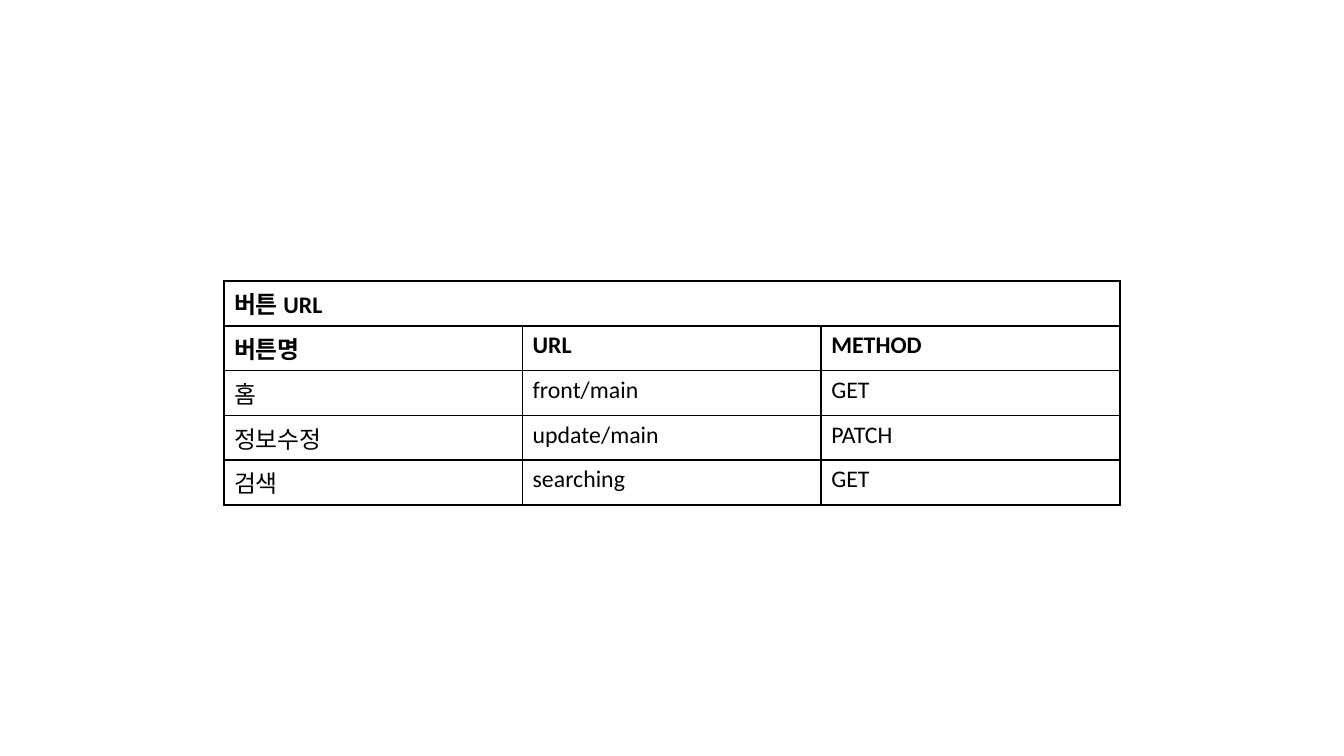
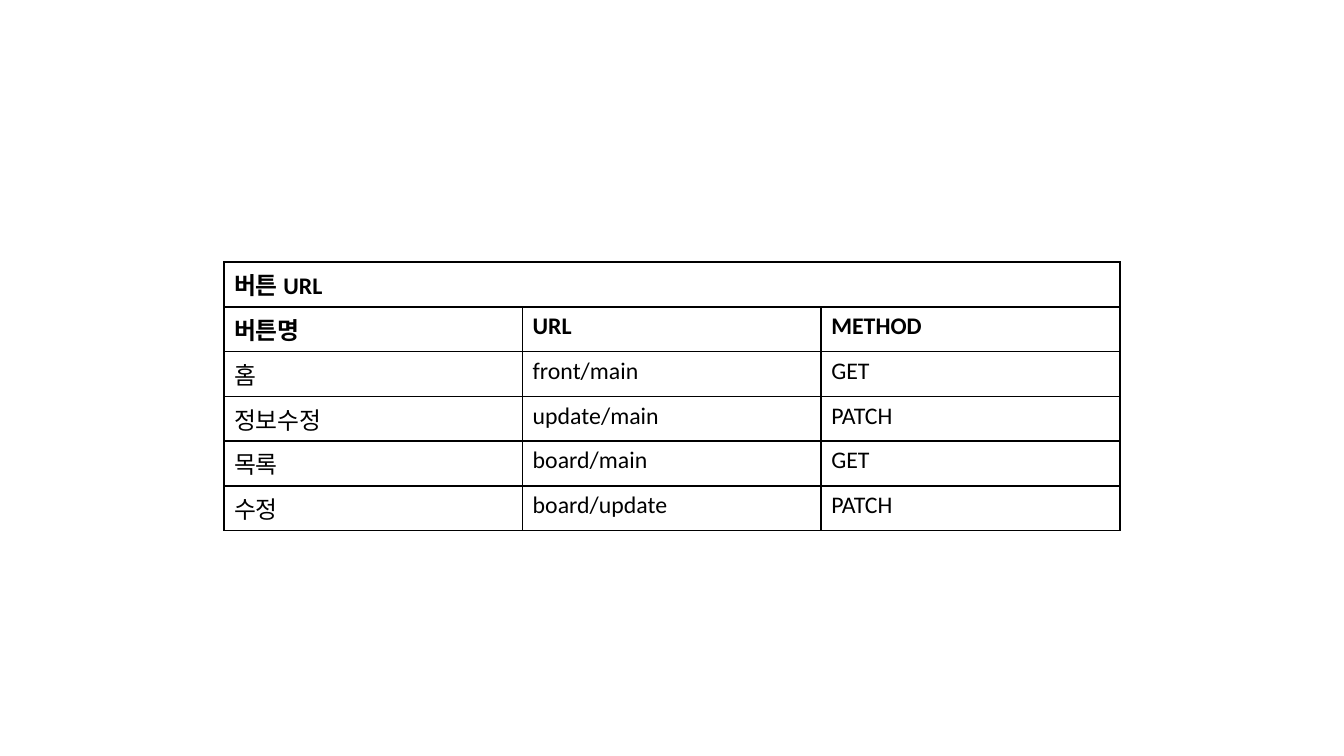
"""Build two slides that list button URLs in bordered tables."""
from lxml import etree
from pptx import Presentation
from pptx import util as u
from pptx.dml.color import RGBColor
from pptx.oxml import ns

TITLE = "버튼 URL"
HEAD = ("버튼명", "URL", "METHOD")
SHARED = [("홈", "front/main", "GET"), ("정보수정", "update/main", "PATCH")]
SLIDES = [
    (281, [("검색", "searching", "GET")]),
    (262, [("목록", "board/main", "GET"), ("수정", "board/update", "PATCH")]),
]

WIDE, HIGH = 1344, 756
LEFT, ROW = 224, 44
FONT, SIZE, EDGE = "Calibri", u.Pt(17), u.Pt(1.2)
BLACK = RGBColor(0, 0, 0)
WHITE = RGBColor(255, 255, 255)


def px(n):
    return u.Emu(round(n * 914400 / 100.8))


def border(cell):
    props = cell._tc.get_or_add_tcPr()
    for side in ("lnL", "lnR", "lnT", "lnB"):
        line = etree.SubElement(props, ns.qn(f"a:{side}"), w=str(int(EDGE)))
        fill = etree.SubElement(line, ns.qn("a:solidFill"))
        etree.SubElement(fill, ns.qn("a:srgbClr"), val=str(BLACK))


def style(cell, bold):
    border(cell)
    cell.fill.solid()
    cell.fill.fore_color.rgb = WHITE
    font = cell.text_frame.paragraphs[0].font
    font.name, font.size, font.bold = FONT, SIZE, bold
    font.color.rgb = BLACK


def add_grid(slide, top, items):
    rows = [(TITLE, "", ""), HEAD, *SHARED, *items]
    frame = slide.shapes.add_table(
        len(rows), len(HEAD), px(LEFT), px(top),
        px(WIDE - 2 * LEFT), px(ROW * len(rows)))
    grid = frame.table
    grid.first_row = grid.horz_banding = False
    for r, row in enumerate(rows):
        for c, word in enumerate(row):
            cell = grid.cell(r, c)
            cell.text = word
            style(cell, r < 2)
    grid.cell(0, 0).merge(grid.cell(0, len(HEAD) - 1))


def main():
    deck = Presentation()
    deck.slide_width, deck.slide_height = px(WIDE), px(HIGH)
    for top, items in SLIDES:
        add_grid(deck.slides.add_slide(deck.slide_layouts[6]), top, items)
    deck.save("out.pptx")


if __name__ == "__main__":
    main()
